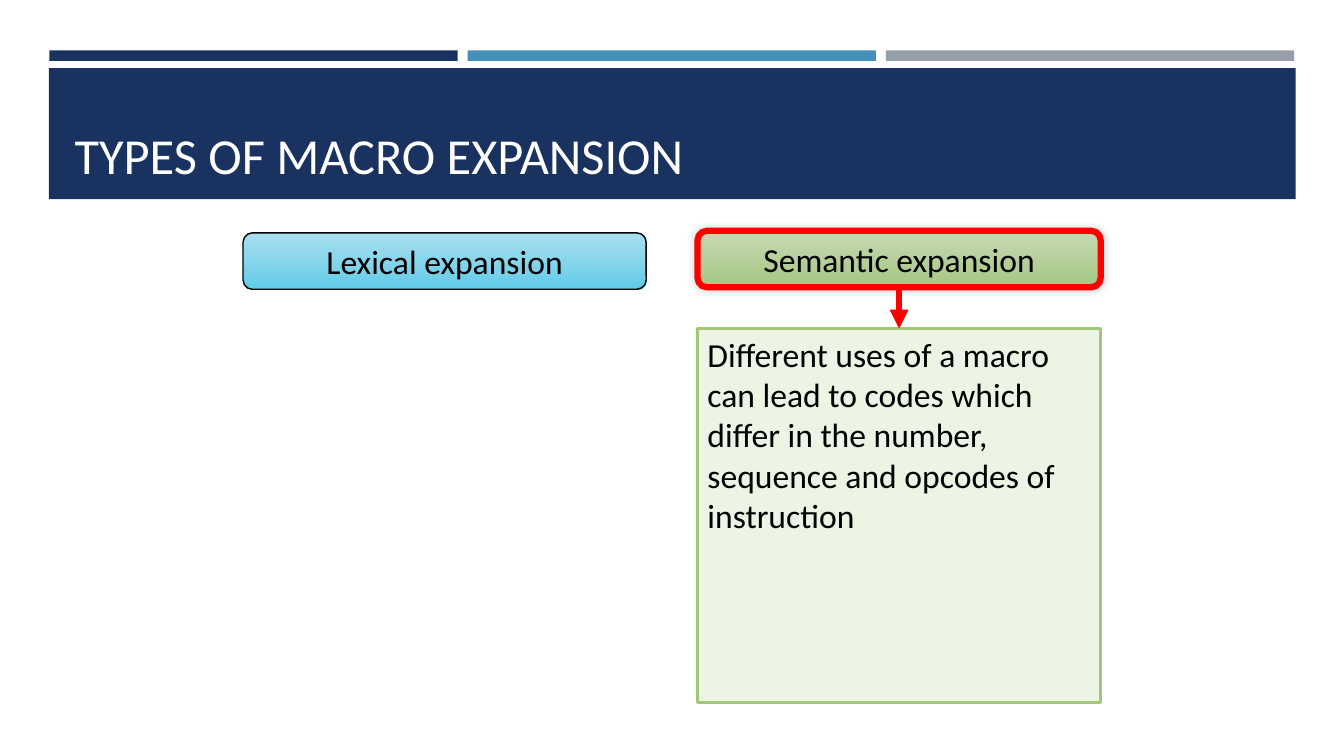
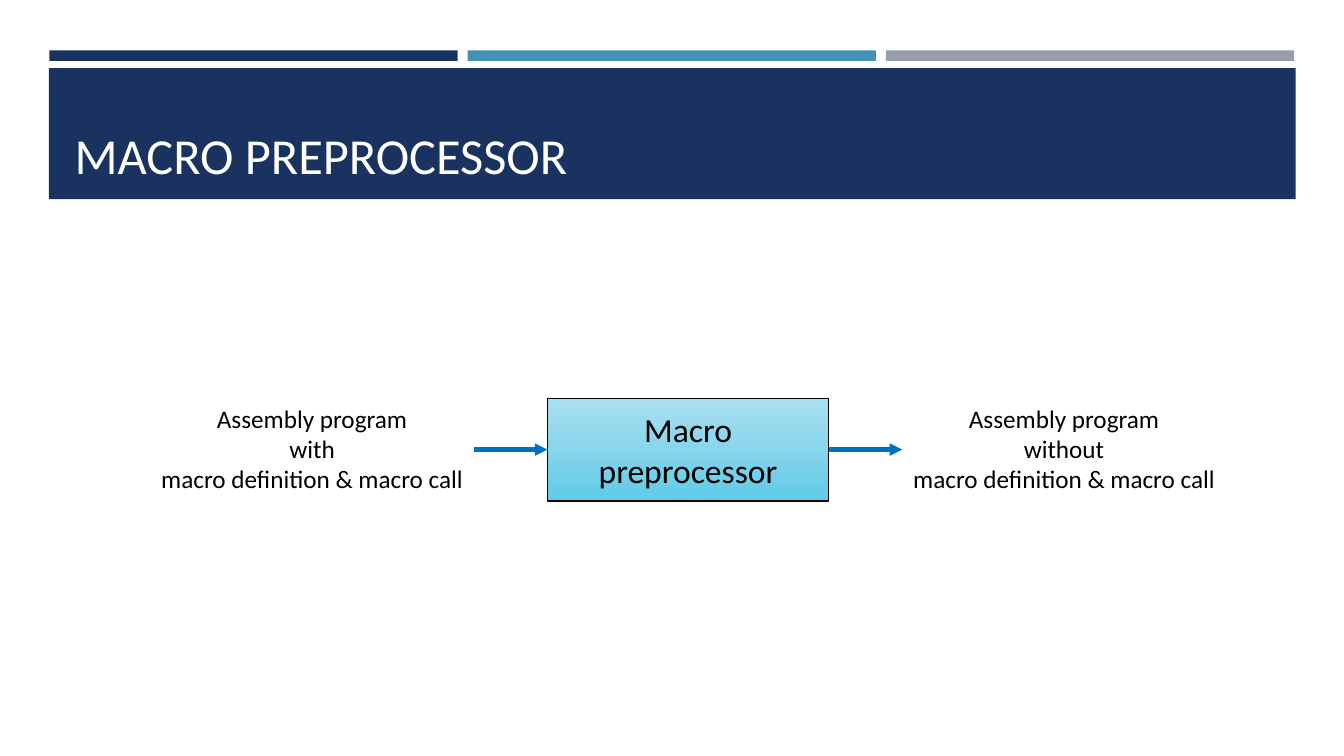
"""Build two slides on macro expansion and the macro preprocessor."""
from lxml.etree import SubElement
from pptx import Presentation
from pptx.dml.color import RGBColor
from pptx.enum.shapes import MSO_CONNECTOR, MSO_SHAPE
from pptx.enum.text import MSO_ANCHOR, PP_ALIGN
from pptx.oxml.ns import qn
from pptx.util import Inches, Pt

SLIDE_WIDTH, SLIDE_HEIGHT = Inches(13.33), Inches(7.5)
FONT = "Calibri"
COLOURS = {
    "navy": "1A3260", "blue": "4590B8", "grey": "969FA7",
    "white": "FFFFFF", "black": "000000", "red": "FF0000", "arrow": "0070C0",
    "sky_light": "A2DDF0", "sky": "5FCCE8",
    "leaf_light": "C6DBB2", "leaf": "A6C881",
    "leaf_pale": "ECF4E4", "leaf_edge": "A2C777",
}
SKY = ("sky_light", "sky")
LEAF = ("leaf_light", "leaf")


def colour(name):
    return RGBColor.from_string(COLOURS[name])


def area(left, top, width, height):
    """Turn percentages of the slide's size into lengths."""
    return (int(SLIDE_WIDTH * left / 100), int(SLIDE_HEIGHT * top / 100),
            int(SLIDE_WIDTH * width / 100), int(SLIDE_HEIGHT * height / 100))


def write(shape, text, size=24, color="black", align=PP_ALIGN.CENTER,
          anchor=MSO_ANCHOR.TOP, wrap=True):
    """Fill a shape with text, one paragraph for each item of a list."""
    frame = shape.text_frame
    frame.word_wrap = wrap
    frame.vertical_anchor = anchor
    for index, line in enumerate([text] if isinstance(text, str) else text):
        paragraph = frame.add_paragraph() if index else frame.paragraphs[0]
        paragraph.text = line
        paragraph.alignment = align
        for run in paragraph.runs:
            run.font.name = FONT
            run.font.size = Pt(size)
            run.font.color.rgb = colour(color)


def fill_gradient(shape, names):
    """Shade a shape downwards from a slightly transparent first colour."""
    shape.fill.gradient()
    shape.fill.gradient_angle = 270
    for stop, name, position in zip(shape.fill.gradient_stops, names, (0, 1)):
        stop.color.rgb = colour(name)
        stop.position = position
    first_colour = shape.element.spPr.find(".//" + qn("a:srgbClr"))
    SubElement(first_colour, qn("a:alpha"), val="90000")


def add_box(slide, place, fill, line=None, line_width=1,
            kind=MSO_SHAPE.RECTANGLE):
    """Add a preset shape with a plain or a two-colour fill."""
    shape = slide.shapes.add_shape(kind, *area(*place))
    shape.shadow.inherit = False
    if isinstance(fill, tuple):
        fill_gradient(shape, fill)
    else:
        shape.fill.solid()
        shape.fill.fore_color.rgb = colour(fill)
    if line:
        shape.line.color.rgb = colour(line)
        shape.line.width = Pt(line_width)
    else:
        shape.line.fill.background()
    return shape


def add_glow_shadow(shape):
    """Add a soft shadow spreading evenly round a shape."""
    effects = shape.element.spPr.find(qn("a:effectLst"))
    shadow = SubElement(effects, qn("a:outerShdw"), blurRad=str(Pt(6)),
                        dist="0", dir="13500000", rotWithShape="0")
    black = SubElement(shadow, qn("a:srgbClr"), val=COLOURS["black"])
    SubElement(black, qn("a:alpha"), val="20000")


def add_label(slide, place, text):
    """Add a centred caption without a frame."""
    label = slide.shapes.add_textbox(*area(*place))
    write(label, text, size=18, wrap=False)
    return label


def add_arrow(slide, start, start_side, end, end_side, color, width):
    """Join the sides of two shapes with an arrow."""
    arrow = slide.shapes.add_connector(MSO_CONNECTOR.STRAIGHT, 0, 0, 0, 0)
    arrow.begin_connect(start, start_side)
    arrow.end_connect(end, end_side)
    arrow.line.color.rgb = colour(color)
    arrow.line.width = Pt(width)
    SubElement(arrow.line._get_or_add_ln(), qn("a:tailEnd"), type="triangle")
    SubElement(arrow.element.spPr, qn("a:effectLst"))


def prepare_layout(layout, slide):
    """Move the title and the shared bands into the layout."""
    for placeholder in list(layout.placeholders):
        if placeholder.placeholder_format.idx:
            placeholder.element.getparent().remove(placeholder.element)
    title = layout.placeholders[0]
    title.left, title.top, title.width, title.height = area(
        4.8, 10.27, 90.45, 14.8)
    bands = [add_box(slide, (3.67 + 31.12 * column, 6.67, 30.38, 1.4), name)
             for column, name in enumerate(("navy", "blue", "grey"))]
    bands.append(add_box(slide, (3.64, 9, 92.77, 17.33), "navy"))
    for band in bands:
        title.element.addprevious(band.element)


def add_title(slide, text):
    write(slide.shapes.title, text, size=36, color="white",
          align=PP_ALIGN.LEFT, anchor=MSO_ANCHOR.BOTTOM)


def build_expansion_types(slide):
    """Show the two types of expansion and explain the second."""
    add_title(slide, "TYPES OF MACRO EXPANSION")
    width, height = 30, 7.47
    left = 51.9
    lexical = add_box(slide, (18.08, 30.8, width, height), SKY, "black",
                      kind=MSO_SHAPE.ROUNDED_RECTANGLE)
    write(lexical, "Lexical expansion")
    semantic = add_box(slide, (left, 30.53, width, height), LEAF, "red", 4.5,
                       kind=MSO_SHAPE.ROUNDED_RECTANGLE)
    add_glow_shadow(semantic)
    write(semantic, "Semantic expansion")
    explanation = add_box(slide, (left, 43.47, width, 49.47), "leaf_pale",
                          "leaf_edge", 1.75)
    write(explanation, "Different uses of a macro can lead to codes which "
          "differ in the number, sequence and opcodes of instruction",
          align=PP_ALIGN.LEFT)
    add_arrow(slide, semantic, 2, explanation, 0, "red", 4.5)


def build_preprocessor(slide):
    """Show what goes into the preprocessor and what comes out."""
    add_title(slide, "MACRO PREPROCESSOR")
    top, height = 52.67, 13.6
    label_width, box_width, gap = 24.08, 20.93, 5.47
    input_left = 11.18
    box_left = input_left + label_width + gap
    output_left = box_left + box_width + gap
    box = add_box(slide, (box_left, top, box_width, height), SKY, "black")
    write(box, "Macro preprocessor", anchor=MSO_ANCHOR.MIDDLE)
    source, result = [
        add_label(slide, (left, top, label_width, height),
                  ["Assembly program", f"{word}\nmacro definition & macro call"])
        for left, word in ((input_left, "with"), (output_left, "without"))]
    add_arrow(slide, source, 3, box, 1, "arrow", 3)
    add_arrow(slide, box, 3, result, 1, "arrow", 3)


def main():
    presentation = Presentation()
    presentation.slide_width = SLIDE_WIDTH
    presentation.slide_height = SLIDE_HEIGHT
    layout = presentation.slide_layouts[5]
    slides = [presentation.slides.add_slide(layout) for _ in range(2)]
    prepare_layout(layout, slides[0])
    build_expansion_types(slides[0])
    build_preprocessor(slides[1])
    presentation.save("out.pptx")


if __name__ == "__main__":
    main()
